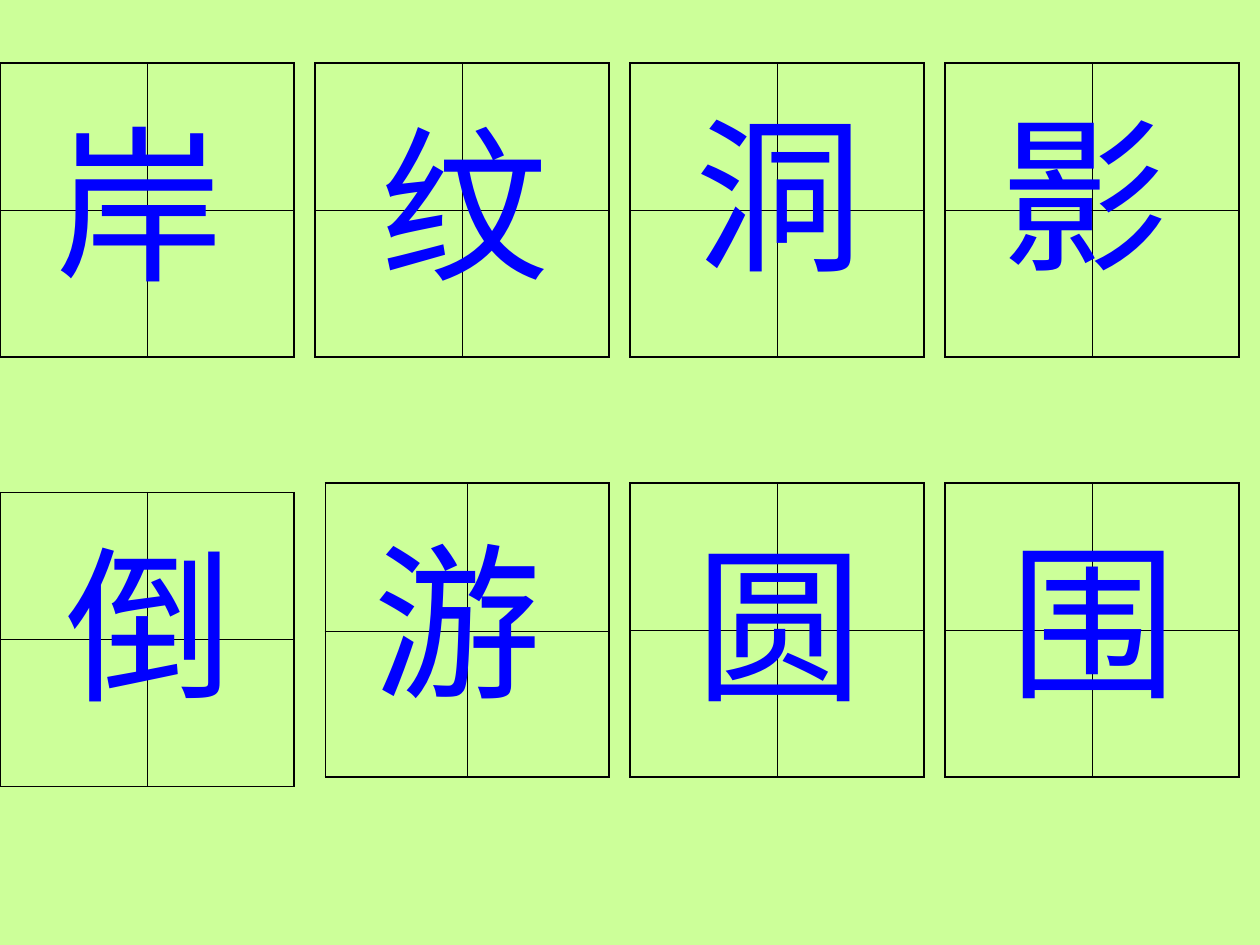
from lxml import etree
from pptx import Presentation
from pptx.dml.color import RGBColor
from pptx.enum import text
from pptx.oxml import ns
from pptx.util import Pt

GREEN = RGBColor(0xCC, 0xFF, 0x99)
BLUE = RGBColor(0x00, 0x00, 0xFF)
BLACK = RGBColor(0x00, 0x00, 0x00)

# character, its left and top, then the grid's left, top, column widths, row heights
EVEN = (84, 84)
CHARACTERS = [
    ("岸", 24.5, 54, 0, 36, EVEN, EVEN),
    ("纹", 210.25, 54, 180, 36, EVEN, EVEN),
    ("洞", 390.25, 48, 360, 36, EVEN, EVEN),
    ("影", 564.5, 48, 540, 36, EVEN, EVEN),
    ("倒", 30.25, 294, 0, 281.5, EVEN, EVEN),
    ("游", 206.5, 292.25, 186, 276, (81, 81), (85, 83)),
    ("圆", 390.25, 294, 360, 276, EVEN, EVEN),
    ("围", 569.5, 292.25, 540, 276, EVEN, EVEN),
]
BOX_SIZE = (Pt(110.25), Pt(122.5))
OUTER, INNER = 1.08, 0.45


def add_border(cell, side, width):
    line = etree.SubElement(cell._tc.get_or_add_tcPr(), ns.qn(f"a:ln{side}"), w=str(Pt(width)))
    fill = etree.SubElement(line, ns.qn("a:solidFill"))
    etree.SubElement(fill, ns.qn("a:srgbClr"), val=str(BLACK))


def add_grid(page, left, top, columns, rows):
    """Add a two-by-two writing grid with a heavier outline."""
    table = page.shapes.add_table(
        2, 2, Pt(left), Pt(top), Pt(sum(columns)), Pt(sum(rows))).table
    table.first_row = table.horz_banding = False
    for i in range(2):
        table.columns[i].width = Pt(columns[i])
        table.rows[i].height = Pt(rows[i])
        for j in range(2):
            cell = table.cell(i, j)
            for side, is_outer in (("L", j == 0), ("R", j == 1), ("T", i == 0), ("B", i == 1)):
                add_border(cell, side, OUTER if is_outer else INNER)
            cell.fill.background()


def add_character(page, character, left, top):
    frame = page.shapes.add_textbox(Pt(left), Pt(top), *BOX_SIZE).text_frame
    frame.word_wrap = False
    frame.auto_size = text.MSO_AUTO_SIZE.SHAPE_TO_FIT_TEXT
    para = frame.paragraphs[0]
    para.text = character
    para.font.name = "Arial"
    para.font.size = Pt(96)
    para.font.color.rgb = BLUE


def main():
    deck = Presentation()
    deck.slide_width, deck.slide_height = Pt(720), Pt(540)
    page = deck.slides.add_slide(deck.slide_layouts[6])
    page.background.fill.solid()
    page.background.fill.fore_color.rgb = GREEN
    for _, _, _, *grid in CHARACTERS:
        add_grid(page, *grid)
    for character, left, top, *_ in CHARACTERS:
        add_character(page, character, left, top)
    deck.save("out.pptx")


if __name__ == "__main__":
    main()
